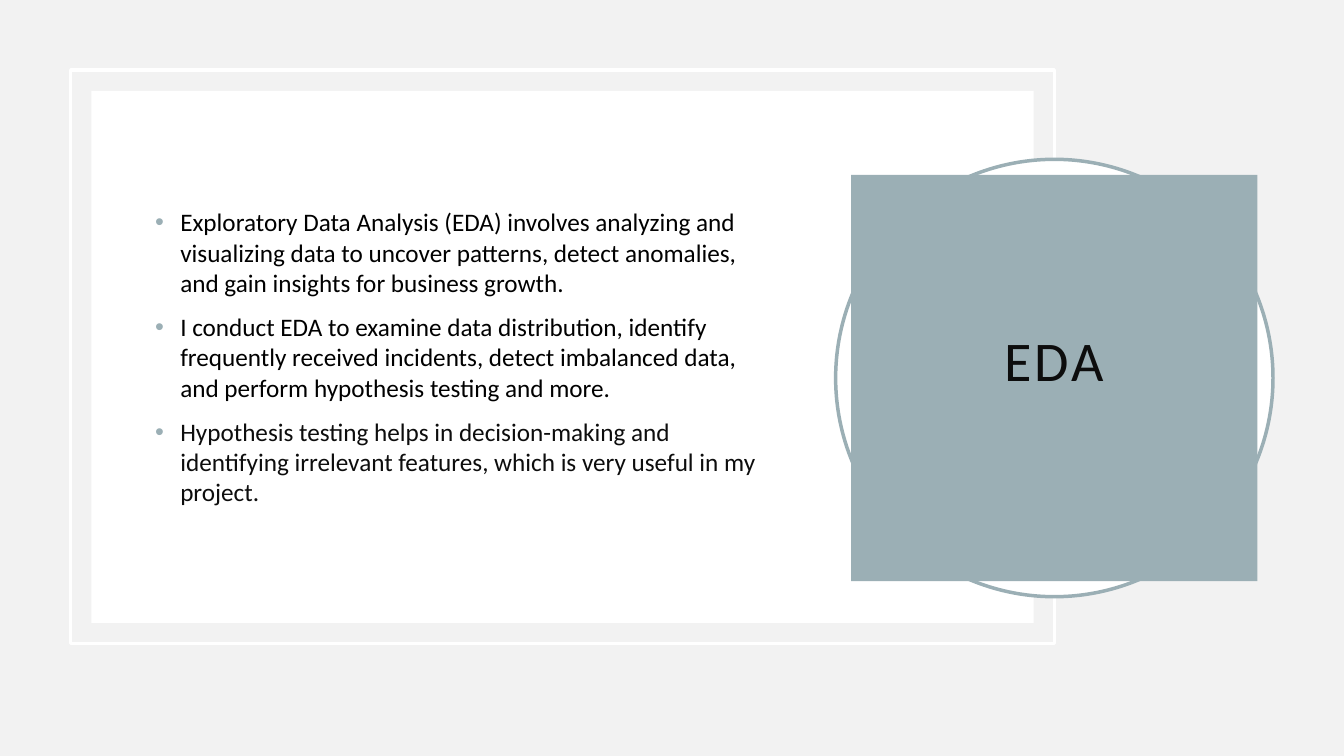
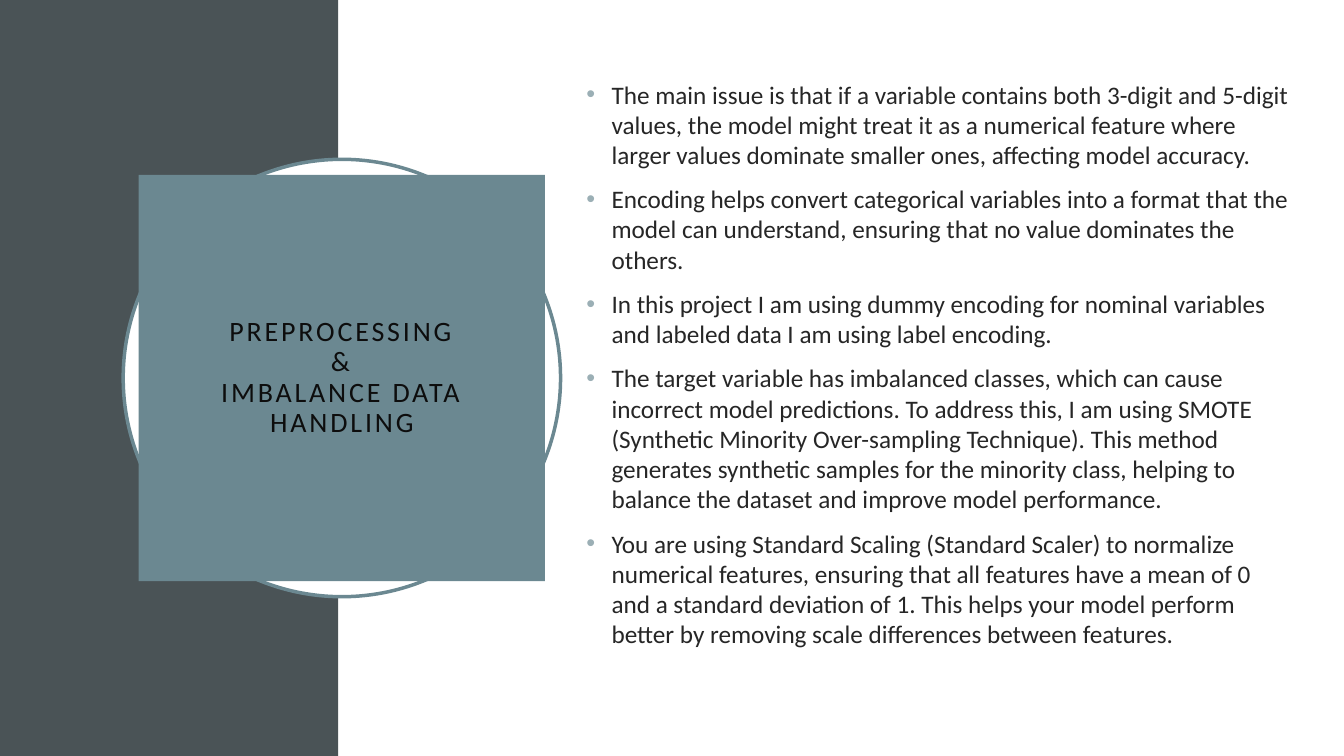
from lxml.etree import SubElement
from pptx import Presentation
from pptx.dml.color import RGBColor
from pptx.enum.shapes import MSO_SHAPE as Preset
from pptx.enum.text import MSO_ANCHOR as Anchor, MSO_AUTO_SIZE as AutoSize, PP_ALIGN as Align
from pptx.oxml.ns import qn
from pptx.util import Pt

SLIDE_WIDTH, SLIDE_HEIGHT = 960, 540
FONT = "Calibri"
WHITE, PALE_GREY, BLACK, INK, CHARCOAL = "FFFFFF", "F2F2F2", "000000", "0D0D0D", "262626"
MIST, TEAL, SLATE = "9BAFB5", "6B8891", "4A5356"
LINE_WIDTH = 2.5
RING_SIZE, BADGE_INSET, BADGE_PADDING = 312.4, 11.1, 14.4
INDENT = 18

EDA_POINTS = [
    ("Exploratory Data Analysis (EDA) involves analyzing and visualizing data to uncover "
     "patterns, detect anomalies, and gain insights for business growth.", BLACK),
    ("I conduct EDA to examine data distribution, identify frequently received incidents, "
     "detect imbalanced data, and perform hypothesis testing and more.", BLACK),
    ("Hypothesis testing helps in decision-making and identifying irrelevant features, "
     "which is very useful in my project.", INK),
]
PREPROCESSING_POINTS = [
    ("The main issue is that if a variable contains both 3-digit and 5-digit values, the model "
     "might treat it as a numerical feature where larger values dominate smaller ones, "
     "affecting model accuracy.", CHARCOAL),
    ("Encoding helps convert categorical variables into a format that the model can understand, "
     "ensuring that no value dominates the others.", CHARCOAL),
    ("In this project I am using dummy encoding for nominal variables and labeled data I am "
     "using label encoding.", CHARCOAL),
    ("The target variable has imbalanced classes, which can cause incorrect model predictions. "
     "To address this, I am using SMOTE (Synthetic Minority Over-sampling Technique). This "
     "method generates synthetic samples for the minority class, helping to balance the dataset "
     "and improve model performance.", CHARCOAL),
    ("You are using Standard Scaling (Standard Scaler) to normalize numerical features, ensuring "
     "that all features have a mean of 0 and a standard deviation of 1. This helps your model "
     "perform better by removing scale differences between features.", CHARCOAL),
]


def apply_format(target, values):
    """Set each named attribute of the target."""
    for name, value in values.items():
        setattr(target, name, value)


def paint(fill, color):
    """Give a fill a solid colour from a hex string."""
    fill.solid()
    fill.fore_color.rgb = RGBColor.from_string(color)


def inset_box(box, inset):
    """Return the box shrunk by the inset on every side."""
    left, top, width, height = box
    return left + inset, top + inset, width - 2 * inset, height - 2 * inset


def place(shape, box):
    """Move and size a shape to a box in points."""
    apply_format(shape, dict(zip(("left", "top", "width", "height"), map(Pt, box))))


def add_figure(slide, preset, box, fill=None, line=None):
    """Add a preset shape with an optional fill and outline."""
    shape = slide.shapes.add_shape(preset, *map(Pt, box))
    shape.shadow.inherit = False
    if fill:
        paint(shape.fill, fill)
    else:
        shape.fill.background()
    if line:
        paint(shape.line.fill, line)
        shape.line.width = Pt(LINE_WIDTH)
    else:
        shape.line.fill.background()
    return shape


def style_font(font, size, color):
    """Apply the shared typeface with a size and colour."""
    apply_format(font, {"name": FONT, "size": Pt(size)})
    font.color.rgb = RGBColor.from_string(color)


def add_title_badge(slide, left, top, text, size, color, lift=0):
    """Draw the ring and set the title in the filled square over it."""
    ring_box = (left, top, RING_SIZE, RING_SIZE)
    add_figure(slide, Preset.OVAL, ring_box, WHITE, color)
    title = slide.shapes.title
    slide.shapes._spTree.append(title._element)
    place(title, inset_box(ring_box, BADGE_INSET))
    paint(title.fill, color)
    frame = title.text_frame
    frame.text = text
    padding = Pt(BADGE_PADDING)
    apply_format(frame, {
        "word_wrap": True, "auto_size": AutoSize.NONE, "vertical_anchor": Anchor.MIDDLE,
        "margin_left": padding, "margin_right": padding, "margin_top": padding,
        "margin_bottom": Pt(BADGE_PADDING + 2 * lift),
    })
    paragraph = frame.paragraphs[0]
    apply_format(paragraph, {"alignment": Align.CENTER, "line_spacing": 0.9})
    for run in paragraph.runs:
        style_font(run.font, size, INK)
        run._r.get_or_add_rPr().set("spc", "200")


def add_bullet(paragraph):
    """Give a paragraph a hanging round bullet."""
    properties = paragraph._p.get_or_add_pPr()
    properties.set("marL", str(Pt(INDENT)))
    properties.set("indent", str(-Pt(INDENT)))
    bullet_color = SubElement(properties, qn("a:buClr"))
    SubElement(bullet_color, qn("a:srgbClr")).set("val", MIST)
    SubElement(properties, qn("a:buFont")).set("typeface", "Arial")
    SubElement(properties, qn("a:buChar")).set("char", "•")


def add_bullet_list(slide, box, points):
    """Add a vertically centred list of text and colour pairs."""
    frame = slide.shapes.add_textbox(*map(Pt, box)).text_frame
    apply_format(frame, {"word_wrap": True, "vertical_anchor": Anchor.MIDDLE})
    for index, (text, color) in enumerate(points):
        paragraph = frame.add_paragraph() if index else frame.paragraphs[0]
        paragraph.space_before = Pt(10)
        add_bullet(paragraph)
        run = paragraph.add_run()
        run.text = text
        style_font(run.font, 18, color)


def add_slide(presentation, background):
    """Add a title-only slide with a plain background."""
    slide = presentation.slides.add_slide(presentation.slide_layouts[5])
    paint(slide.background.fill, background)
    return slide


def build_eda_slide(presentation):
    """Build the framed list with its badge on the right."""
    slide = add_slide(presentation, PALE_GREY)
    frame_box = (50.5, 50.2, 702.6, 409.6)
    add_figure(slide, Preset.RECTANGLE, frame_box, line=WHITE)
    add_figure(slide, Preset.RECTANGLE, inset_box(frame_box, 14.8), WHITE)
    add_bullet_list(slide, (103.7, 100.8, 450, 308.2), EDA_POINTS)
    add_title_badge(slide, 596.9, 113.8, "EDA", 40, MIST, lift=10.5)


def build_preprocessing_slide(presentation):
    """Build the side band with its badge and the list on the right."""
    slide = add_slide(presentation, WHITE)
    add_figure(slide, Preset.RECTANGLE, (0, 0, 241.6, SLIDE_HEIGHT), SLATE)
    add_title_badge(slide, 88, 113.8, "PREPROCESSING\v&\vIMBALANCE DATA HANDLING", 20, TEAL)
    add_bullet_list(slide, (411.8, 21.6, 520.6, 476.6), PREPROCESSING_POINTS)


def main():
    """Build and save the presentation."""
    presentation = Presentation()
    apply_format(presentation, {"slide_width": Pt(SLIDE_WIDTH), "slide_height": Pt(SLIDE_HEIGHT)})
    build_eda_slide(presentation)
    build_preprocessing_slide(presentation)
    presentation.save("out.pptx")


if __name__ == "__main__":
    main()
